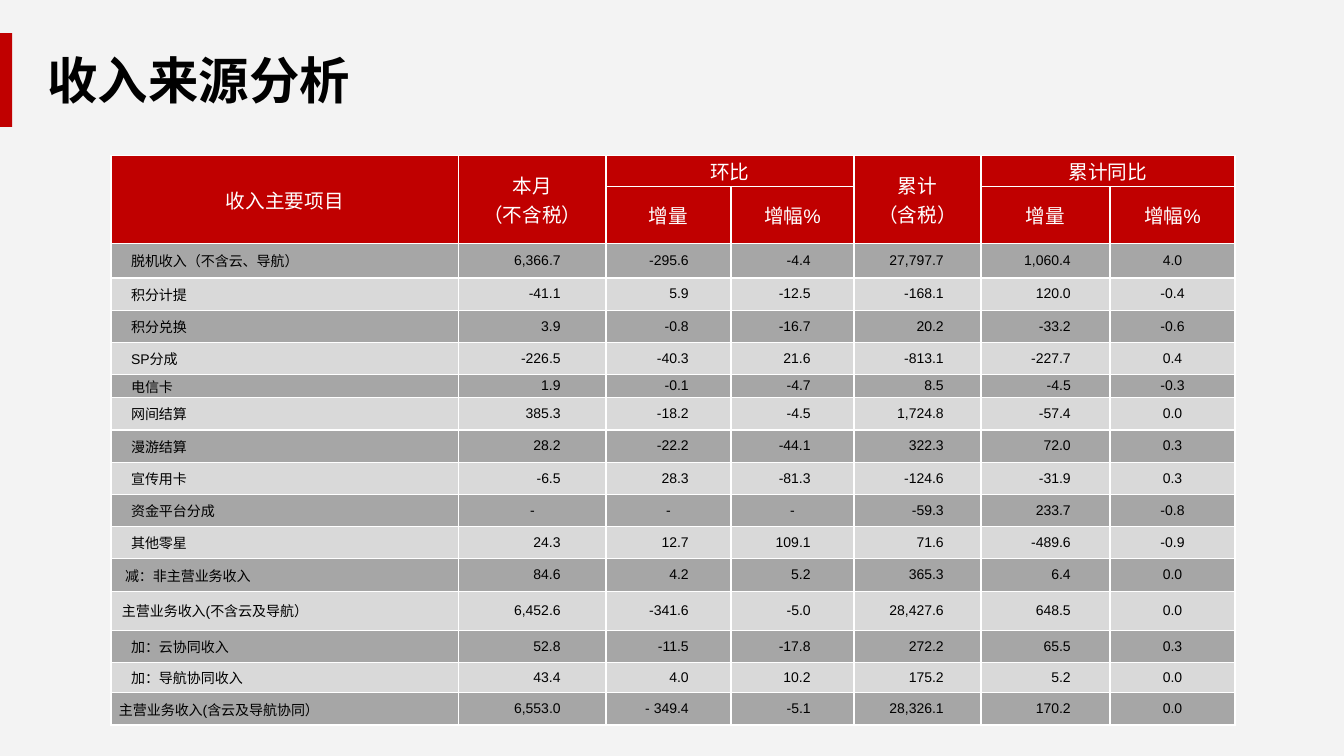
"""Build the revenue source analysis slide with its monthly table."""
from pptx import Presentation
from pptx import util as u
from pptx.dml.color import RGBColor
from pptx.enum import shapes, text
from pptx.oxml import parse_xml
from pptx.oxml.ns import nsdecls

TITLE = "收入来源分析"
HEADERS = {
    (0, 0, 1, 0): "收入主要项目",
    (0, 1, 1, 1): "本月\n（不含税）",
    (0, 2, 0, 3): "环比",
    (0, 4, 1, 4): "累计\n（含税）",
    (0, 5, 0, 6): "累计同比",
    (1, 2, 1, 2): "增量",
    (1, 3, 1, 3): "增幅%",
    (1, 5, 1, 5): "增量",
    (1, 6, 1, 6): "增幅%",
}
ITEMS = [
    ("脱机收入（不含云、导航）", "6,366.7", "-295.6", "-4.4", "27,797.7", "1,060.4", "4.0"),
    ("积分计提", "-41.1", "5.9", "-12.5", "-168.1", "120.0", "-0.4"),
    ("积分兑换", "3.9", "-0.8", "-16.7", "20.2", "-33.2", "-0.6"),
    ("SP分成", "-226.5", "-40.3", "21.6", "-813.1", "-227.7", "0.4"),
    ("电信卡", "1.9", "-0.1", "-4.7", "8.5", "-4.5", "-0.3"),
    ("网间结算", "385.3", "-18.2", "-4.5", "1,724.8", "-57.4", "0.0"),
    ("漫游结算", "28.2", "-22.2", "-44.1", "322.3", "72.0", "0.3"),
    ("宣传用卡", "-6.5", "28.3", "-81.3", "-124.6", "-31.9", "0.3"),
    ("资金平台分成", "-", "-", "-", "-59.3", "233.7", "-0.8"),
    ("其他零星", "24.3", "12.7", "109.1", "71.6", "-489.6", "-0.9"),
    ("减：非主营业务收入", "84.6", "4.2", "5.2", "365.3", "6.4", "0.0"),
    ("主营业务收入(不含云及导航）", "6,452.6", "-341.6", "-5.0", "28,427.6", "648.5", "0.0"),
    ("加：云协同收入", "52.8", "-11.5", "-17.8", "272.2", "65.5", "0.3"),
    ("加：导航协同收入", "43.4", "4.0", "10.2", "175.2", "5.2", "0.0"),
    ("主营业务收入(含云及导航协同）", "6,553.0", "- 349.4", "-5.1", "28,326.1", "170.2", "0.0"),
]
COLORS = {"back": "F3F3F3", "red": "C00000", "dark": "A6A6A6",
          "light": "D9D9D9", "white": "FFFFFF", "black": "000000"}
FONT = "Arial"
COLUMNS = [3.45, 1.46, 1.24, 1.22, 1.26, 1.28, 1.24]
RIGHT_MARGINS = [0, 0.45, 0.42, 0.43, 0.37, 0.39, 0]
HEADER_ROWS = [0.31, 0.3]
ITEM_ROW = 0.32
SPECIAL_ROWS = {0: 0.34, 4: 0.23, 11: 0.39, 13: 0.3}
ITEM_INDENT = 0.2
SPECIAL_INDENTS = {10: 0.14, 11: 0.11, 14: 0.08}
CENTER, RIGHT, LEFT = text.PP_ALIGN.CENTER, text.PP_ALIGN.RIGHT, text.PP_ALIGN.LEFT


def color(name):
    return RGBColor.from_string(COLORS[name])


def style(para, size, name, align, bold=False):
    para.alignment = align
    para.font.name, para.font.size = FONT, u.Pt(size)
    para.font.bold, para.font.color.rgb = bold, color(name)


def format_cell(cell, fill):
    cell.margin_left = cell.margin_right = cell.margin_top = cell.margin_bottom = 0
    cell.vertical_anchor = text.MSO_ANCHOR.MIDDLE
    props = cell._tc.get_or_add_tcPr()
    for side in ("lnL", "lnR", "lnT", "lnB"):
        props.append(parse_xml(
            f'<a:{side} {nsdecls("a")} w="12700"><a:solidFill>'
            f'<a:srgbClr val="{COLORS["white"]}"/></a:solidFill></a:{side}>'))
    cell.fill.solid()
    cell.fill.fore_color.rgb = color(fill)


def write_cell(cell, words, size, name, align):
    cell.text = words
    for para in cell.text_frame.paragraphs:
        style(para, size, name, align)


def add_title(page):
    title = page.shapes.title
    title.left, title.top = u.Inches(0.37), u.Inches(0.43)
    title.width, title.height = u.Inches(3.23), u.Inches(0.71)
    frame = title.text_frame
    frame.text = TITLE
    frame.word_wrap = False
    frame.auto_size = text.MSO_AUTO_SIZE.NONE
    frame.vertical_anchor = text.MSO_ANCHOR.MIDDLE
    style(frame.paragraphs[0], 36, "black", LEFT, True)


def add_bar(page):
    bar = page.shapes.add_shape(shapes.MSO_SHAPE.RECTANGLE, 0, u.Inches(0.33),
                                u.Inches(0.12), u.Inches(0.93))
    bar.shadow.inherit = False
    bar.fill.solid()
    bar.fill.fore_color.rgb = color("red")
    bar.line.fill.background()


def add_revenue_table(page):
    rows = HEADER_ROWS + [SPECIAL_ROWS.get(i, ITEM_ROW) for i in range(len(ITEMS))]
    table = page.shapes.add_table(len(rows), len(COLUMNS), u.Inches(1.1), u.Inches(1.54),
                                  u.Inches(sum(COLUMNS)), u.Inches(sum(rows))).table
    table.first_row = table.horz_banding = False
    for column, width in zip(table.columns, COLUMNS):
        column.width = u.Inches(width)
    for r, height in enumerate(rows):
        table.rows[r].height = u.Inches(height)
        fill = "red" if r < len(HEADER_ROWS) else ("dark", "light")[r % 2]
        for cell in table.rows[r].cells:
            format_cell(cell, fill)
    for (top, left, bottom, right), words in HEADERS.items():
        cell = table.cell(top, left)
        if (top, left) != (bottom, right):
            cell.merge(table.cell(bottom, right))
        write_cell(cell, words, 14, "white", CENTER)
    for i, item in enumerate(ITEMS):
        for c, words in enumerate(item):
            cell = table.cell(i + len(HEADER_ROWS), c)
            if c == 0:
                cell.margin_left = u.Inches(SPECIAL_INDENTS.get(i, ITEM_INDENT))
                align = LEFT
            elif words == "-" or not RIGHT_MARGINS[c]:
                align = CENTER
            else:
                cell.margin_right = u.Inches(RIGHT_MARGINS[c])
                align = RIGHT
            write_cell(cell, words, 10, "black", align)


def main():
    deck = Presentation()
    deck.slide_width, deck.slide_height = u.Inches(13.33), u.Inches(7.5)
    page = deck.slides.add_slide(deck.slide_layouts[5])
    page.background.fill.solid()
    page.background.fill.fore_color.rgb = color("back")
    add_bar(page)
    add_title(page)
    add_revenue_table(page)
    deck.save("out.pptx")


if __name__ == "__main__":
    main()
